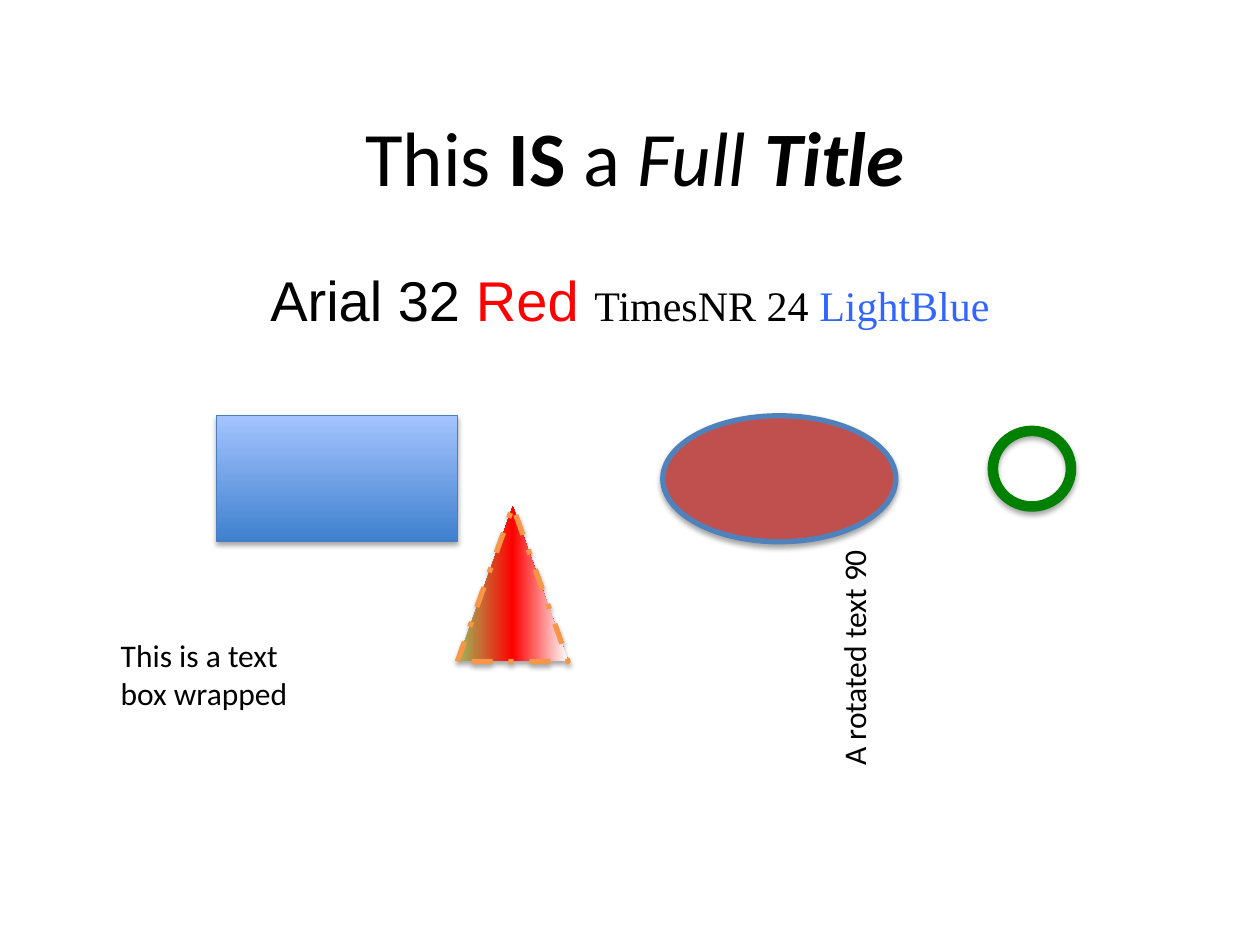
"""Build a title slide with styled text runs and decorated shapes."""
from lxml import etree
from pptx import Presentation
from pptx.dml.color import RGBColor
from pptx.enum.dml import MSO_LINE
from pptx.enum.shapes import MSO_SHAPE
from pptx.enum.text import MSO_ANCHOR, MSO_AUTO_SIZE, PP_ALIGN
from pptx.oxml import parse_xml
from pptx.oxml.ns import qn
from pptx.util import Inches, Pt

RECTANGLE, OVAL, TRIANGLE = MSO_SHAPE.RECTANGLE, MSO_SHAPE.OVAL, MSO_SHAPE.ISOSCELES_TRIANGLE
DASH_DOT = MSO_LINE.DASH_DOT
CENTER, LEFT = PP_ALIGN.CENTER, PP_ALIGN.LEFT
TOP, MIDDLE = MSO_ANCHOR.TOP, MSO_ANCHOR.MIDDLE
FIT_SHAPE = MSO_AUTO_SIZE.SHAPE_TO_FIT_TEXT

BLACK = RGBColor(0x00, 0x00, 0x00)
WHITE = RGBColor(0xFF, 0xFF, 0xFF)
RED = RGBColor(0xFF, 0x00, 0x00)
LIGHT_BLUE = RGBColor(0x33, 0x66, 0xFF)
SKY = RGBColor(0xA4, 0xC4, 0xFF)
BLUE = RGBColor(0x3F, 0x80, 0xCE)
EDGE_BLUE = RGBColor(0x4B, 0x7E, 0xBC)
STEEL = RGBColor(0x4F, 0x81, 0xBD)
BRICK = RGBColor(0xC0, 0x50, 0x4D)
GREEN = RGBColor(0x00, 0x80, 0x00)
OLIVE = RGBColor(0x9B, 0xBB, 0x59)
ORANGE = RGBColor(0xF7, 0x96, 0x46)

TITLE = [("This ", {}), ("IS", {"bold": True}), (" a ", {}),
         ("Full ", {"italic": True}), ("Title ", {"bold": True, "italic": True})]
TIMES = {"name": "Times New Roman", "size": Pt(24)}
SUBTITLE = [("Arial 32 ", {}), ("Red ", {"color": RED}),
            ("TimesNR 24 ", TIMES), ("LightBlue", {**TIMES, "color": LIGHT_BLUE})]

SHAPES = [
    (RECTANGLE, (1.72, 3.3, 1.91, 1), [BLUE, SKY], 90, EDGE_BLUE, 0.75, None),
    (OVAL, (5.26, 3.3, 1.85, 1), [BRICK], 0, STEEL, 3, None),
    (OVAL, (7.88, 3.42, 0.62, 0.6), [], 0, GREEN, 6, None),
    (TRIANGLE, (3.63, 4.02, 0.88, 1.23), [OLIVE, RED, WHITE], 0, ORANGE, 3, DASH_DOT),
]

SHADOW = (
    '<a:effectLst xmlns:a="http://schemas.openxmlformats.org/drawingml/2006/main">'
    '<a:outerShdw blurRad="40000" dist="23000" dir="5400000" rotWithShape="0">'
    '<a:srgbClr val="000000"><a:alpha val="35000"/></a:srgbClr>'
    '</a:outerShdw></a:effectLst>'
)


def add_text(page, place, runs, font, size, align=LEFT, anchor=TOP, wrap=True, grow=False):
    box = page.shapes.add_textbox(*map(Inches, place))
    frame = box.text_frame
    frame.word_wrap = wrap
    frame.vertical_anchor = anchor
    if grow:
        frame.auto_size = FIT_SHAPE
    para = frame.paragraphs[0]
    para.alignment = align
    para.font.name, para.font.size = font, Pt(size)
    para.font.color.rgb = BLACK
    for text, style in runs:
        span = para.add_run()
        span.text = text
        for key, value in style.items():
            if key == "color":
                span.font.color.rgb = value
            else:
                setattr(span.font, key, value)
    return box


def fill_gradient(shape, colors, angle):
    shape.fill.gradient()
    shape.fill.gradient_angle = angle
    stops = shape.element.spPr.find(qn("a:gradFill")).find(qn("a:gsLst"))
    for stop in list(stops):
        stops.remove(stop)
    for index, color in enumerate(colors):
        position = 100000 * index // (len(colors) - 1)
        stop = etree.SubElement(stops, qn("a:gs"), pos=str(position))
        etree.SubElement(stop, qn("a:srgbClr"), val=str(color))


def add_figure(page, kind, place, colors, angle, line_color, line_width, dash):
    shape = page.shapes.add_shape(kind, *map(Inches, place))
    if len(colors) > 1:
        fill_gradient(shape, colors, angle)
    elif colors:
        shape.fill.solid()
        shape.fill.fore_color.rgb = colors[0]
    else:
        shape.fill.background()
    shape.line.color.rgb = line_color
    shape.line.width = Pt(line_width)
    if dash:
        shape.line.dash_style = dash
    shape.element.spPr.append(parse_xml(SHADOW))


deck = Presentation()
deck.slide_width, deck.slide_height = Inches(10), Inches(7.5)
page = deck.slides.add_slide(deck.slide_layouts[6])

add_text(page, (0.86, 0.43, 8.5, 1.61), TITLE, "Calibri", 44, CENTER, MIDDLE)
subtitle = add_text(page, (1.5, 2.06, 7, 0.86), SUBTITLE, "Arial", 32, CENTER)
subtitle.text_frame.paragraphs[0].space_before = Pt(6.4)
for figure in SHAPES:
    add_figure(page, *figure)
add_text(page, (0.86, 5, 1.54, 0.71), [("This is a text box wrapped", {})],
         "Calibri", 18, grow=True)
rotated = add_text(page, (5.8, 5, 1.95, 0.4), [("A rotated text 90", {})],
                   "Calibri", 18, wrap=False, grow=True)
rotated.rotation = 270

deck.save("out.pptx")
